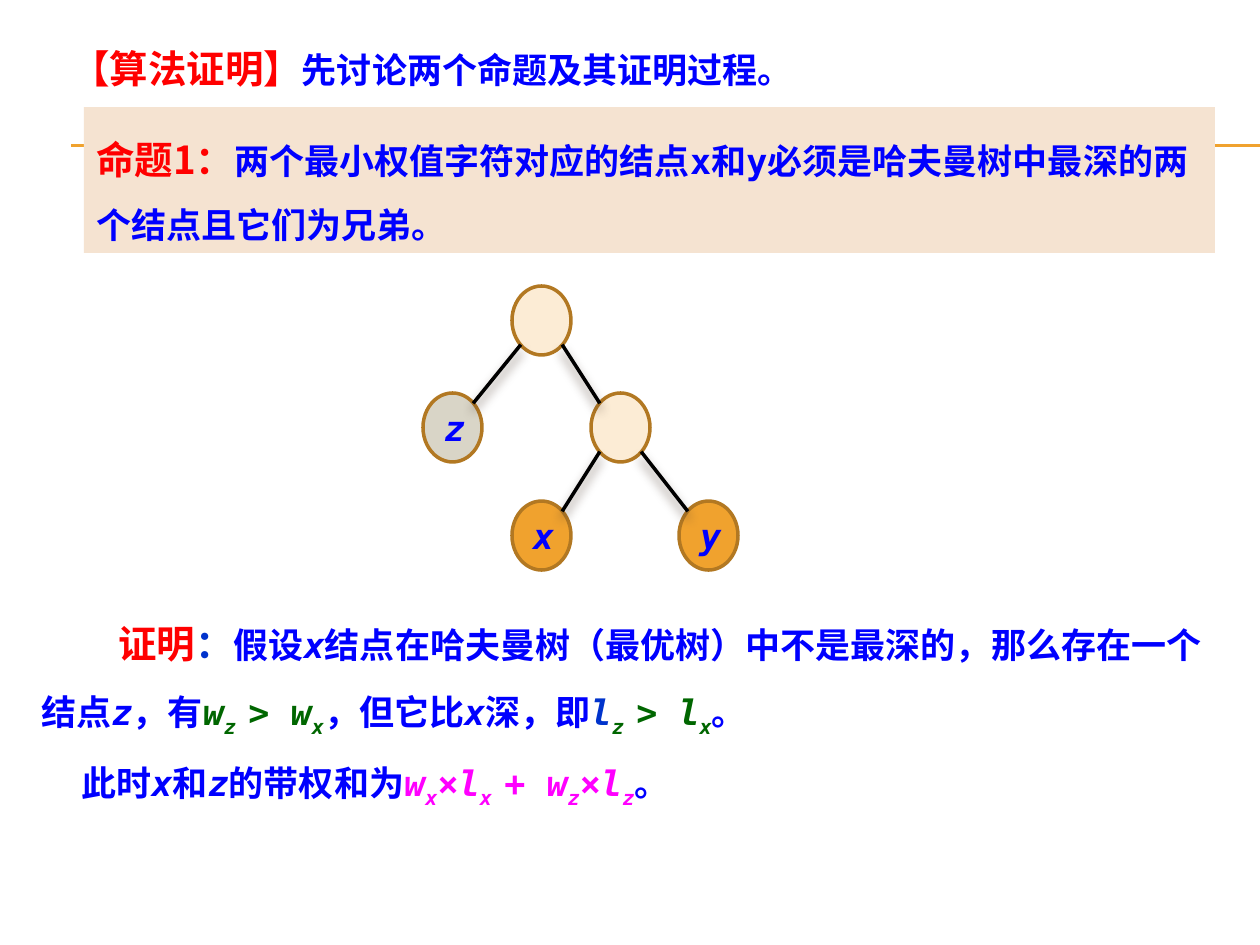
from lxml.etree import SubElement
from pptx import Presentation
from pptx.dml.color import RGBColor
from pptx.enum.shapes import MSO_CONNECTOR, MSO_SHAPE
from pptx.enum.text import MSO_ANCHOR, PP_ALIGN
from pptx.oxml.ns import qn
from pptx.util import Emu, Pt

COLORS = {
    "red": "FF0000", "blue": "0000FF", "royal": "0033CC", "green": "006600",
    "magenta": "FF00FF", "black": "000000", "shadow": "4E3B30",
    "orange": "F0A22E", "brown": "B27822", "cream": "FCECD5",
    "grey": "D9D5C7", "panel": "F5E3D1",
}
HEADING_FONT = "Noto Sans CJK SC"
BODY_FONT = "DejaVu Sans Mono"
EMU_PER_PX = 914400 / 126
NODE_WIDTH, NODE_HEIGHT = 59, 69


def px(length):
    return Emu(round(length * EMU_PER_PX))


def rgb(name):
    return RGBColor.from_string(COLORS[name])


class SlideWriter:
    def __init__(self, deck):
        self.slide = deck.slides.add_slide(deck.slide_layouts[6])
        self.shapes = self.slide.shapes

    def line(self, start, end, color, width, shadow=False):
        connector = self.shapes.add_connector(
            MSO_CONNECTOR.STRAIGHT, *map(px, (*start, *end)))
        connector.line.color.rgb = rgb(color)
        connector.line.width = Pt(width)
        effects = SubElement(connector._element.spPr, qn("a:effectLst"))
        if shadow:
            outer = SubElement(effects, qn("a:outerShdw"), blurRad=str(Pt(6)),
                               dist=str(Pt(4)), dir="5400000", rotWithShape="0")
            tint = SubElement(outer, qn("a:srgbClr"), val=COLORS["shadow"])
            SubElement(tint, qn("a:alpha"), val="60000")

    def span(self, para, text, color="blue", size=20, font=BODY_FONT,
             italic=False, sub=False):
        run = para.add_run()
        run.text = text
        run.font.size = Pt(size)
        run.font.name = font
        run.font.bold = True
        run.font.italic = italic
        run.font.color.rgb = rgb(color)
        SubElement(run.font._element, qn("a:ea"), typeface=HEADING_FONT)
        if sub:
            run.font._element.set("baseline", "-25000")

    def heading(self, para, text):
        self.span(para, text, "red", 22, HEADING_FONT)

    def mixed(self, para, *parts):
        """Alternate upright text and italic variables."""
        for index, text in enumerate(parts):
            self.span(para, text, italic=index % 2 == 1)

    def formula(self, para, color, *terms):
        """Write terms of (variable, subscript, upright operator)."""
        for variable, subscript, operator in terms:
            self.span(para, variable, color, italic=True)
            self.span(para, subscript, color, italic=True, sub=True)
            if operator:
                self.span(para, operator, color)

    def text_box(self, left, top, width, height):
        box = self.shapes.add_textbox(*map(px, (left, top, width, height)))
        box.text_frame.word_wrap = True
        return box.text_frame

    def shape(self, kind, left, top, width, height, fill, outline=None):
        shape = self.shapes.add_shape(kind, *map(px, (left, top, width, height)))
        shape.shadow.inherit = False
        shape.fill.solid()
        shape.fill.fore_color.rgb = rgb(fill)
        if outline:
            shape.line.color.rgb = rgb(outline)
            shape.line.width = Pt(2)
        else:
            shape.line.fill.background()
        shape.text_frame.word_wrap = True
        return shape.text_frame

    def node(self, left, top, fill, label):
        frame = self.shape(MSO_SHAPE.OVAL, left, top, NODE_WIDTH, NODE_HEIGHT,
                           fill, "brown")
        frame.vertical_anchor = MSO_ANCHOR.MIDDLE
        if label:
            para = frame.paragraphs[0]
            para.alignment = PP_ALIGN.CENTER
            self.span(para, label, italic=True)

    def edge(self, parent, child):
        """Join two nodes at the diagonal points of their ellipses."""
        side = 1 if child[0] > parent[0] else -1
        reach_x, reach_y = NODE_WIDTH * 0.35, NODE_HEIGHT * 0.35
        start_x, end_x = (node[0] + NODE_WIDTH / 2 + way * side * reach_x
                          for node, way in ((parent, 1), (child, -1)))
        start_y, end_y = (node[1] + NODE_HEIGHT / 2 + way * reach_y
                          for node, way in ((parent, 1), (child, -1)))
        self.line((start_x, start_y), (end_x, end_y), "black", 2, shadow=True)


def add_proof(page):
    frame = page.text_box(29, 591, 1191, 210)
    assumption, weights = frame.paragraphs[0], frame.add_paragraph()
    for para, indent in ((assumption, 77), (weights, 40)):
        para.line_spacing = 1.5
        para._p.get_or_add_pPr().set("indent", str(px(indent)))

    page.heading(assumption, "证明")
    page.span(assumption, "：", "royal", 22)
    page.mixed(assumption, "假设", "x",
               "结点在哈夫曼树（最优树）中不是最深的，那么存在一个结点", "z", "，有")
    page.formula(assumption, "green", ("w", "z ", "> "), ("w", "x", ""))
    page.mixed(assumption, "，但它比", "x", "深，即")
    page.span(assumption, "l", "royal", italic=True)
    page.span(assumption, "z ", "green", italic=True, sub=True)
    page.span(assumption, "> ", "green")
    page.formula(assumption, "green", ("l", "x", ""))
    page.span(assumption, "。")

    page.mixed(weights, "此时", "x", "和", "z", "的带权和为")
    page.formula(weights, "magenta", ("w", "x", "×"), ("l", "x ", "+ "),
                 ("w", "z", "×"), ("l", "z", ""))
    page.span(weights, "。")


def add_tree(page):
    root, z, inner, x, y = (512, 286), (423, 393), (591, 393), (512, 501), (679, 501)
    for place, fill, label in ((root, "cream", ""), (z, "grey", "z"),
                               (inner, "cream", ""), (x, "orange", "x"),
                               (y, "orange", "y")):
        page.node(*place, fill, label)
    for parent, child in ((root, z), (root, inner), (inner, x), (inner, y)):
        page.edge(parent, child)


def main():
    deck = Presentation()
    deck.slide_width, deck.slide_height = px(1260), px(945)
    page = SlideWriter(deck)

    for rule_y in (145, 146):
        page.line((71, rule_y), (1260, rule_y), "orange", 0.75)

    title = page.text_box(59, 39, 1052, 59).paragraphs[0]
    page.heading(title, "【算法证明】")
    page.span(title, "先讨论两个命题及其证明过程。")

    panel = page.shape(MSO_SHAPE.RECTANGLE, 84, 107, 1131, 146, "panel")
    panel.vertical_anchor = MSO_ANCHOR.TOP
    claim = panel.paragraphs[0]
    claim.alignment = PP_ALIGN.LEFT
    claim.line_spacing = 1.5
    page.heading(claim, "命题1：")
    page.span(claim, "两个最小权值字符对应的结点x和y必须是哈夫曼树中最深的两个结点且它们为兄弟。")

    add_proof(page)
    add_tree(page)
    deck.save("out.pptx")


if __name__ == "__main__":
    main()
